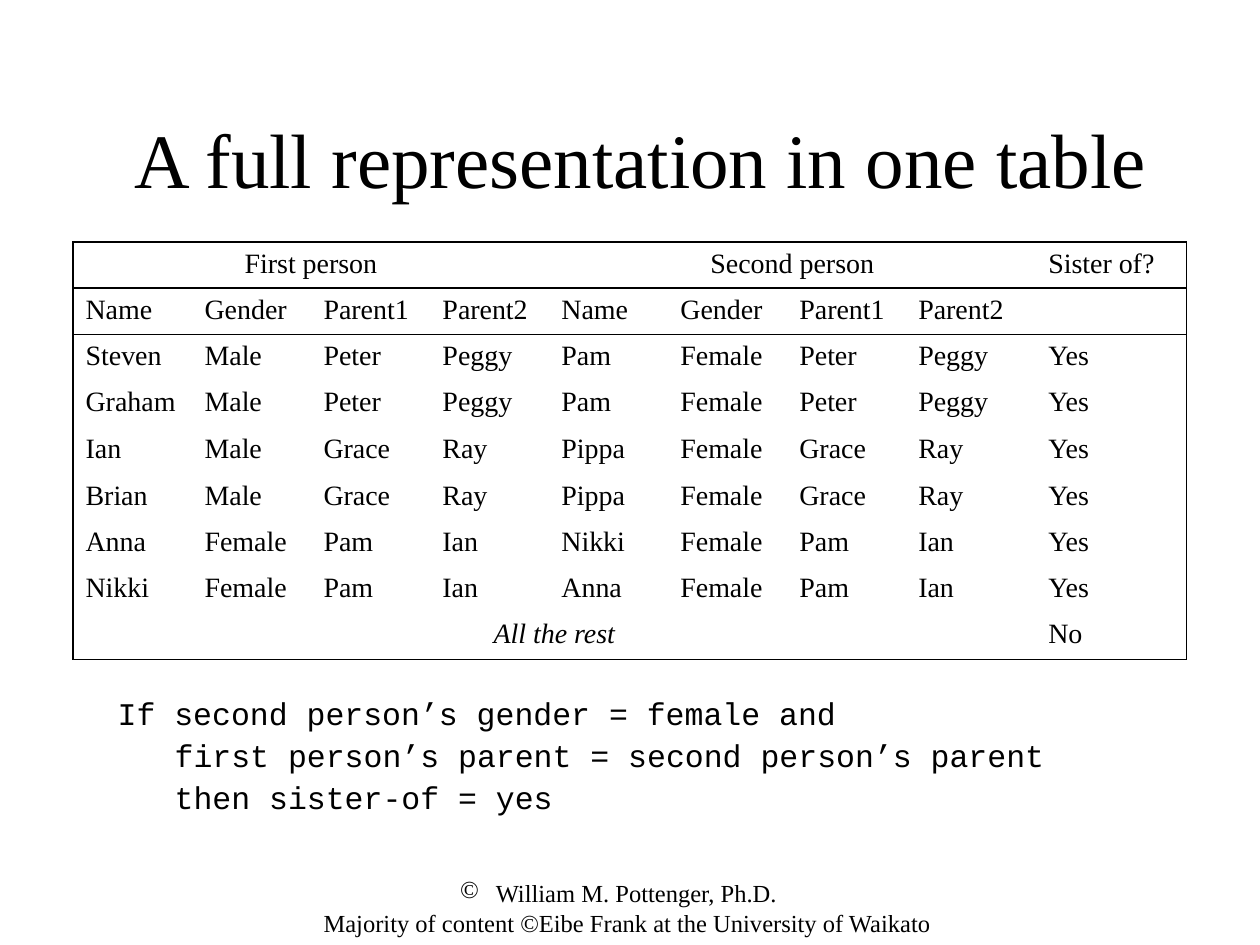
from lxml import etree
from pptx import Presentation
from pptx import util as u
from pptx.dml.color import RGBColor
from pptx.enum import text as t
from pptx.oxml import ns

PX = 914400 / 126
BLACK = RGBColor(0, 0, 0)
SERIF = "Times New Roman"
MONO = "Courier New"
CENTER = t.PP_ALIGN.CENTER

COLUMNS = [119] * 7 + [130, 151]
TABLE_HEIGHT = 416
PERSON = ["Name", "Gender", "Parent1", "Parent2"]
PEOPLE = {
    "Steven": ["Male", "Peter", "Peggy"],
    "Graham": ["Male", "Peter", "Peggy"],
    "Ian": ["Male", "Grace", "Ray"],
    "Brian": ["Male", "Grace", "Ray"],
    "Anna": ["Female", "Pam", "Ian"],
    "Nikki": ["Female", "Pam", "Ian"],
    "Pam": ["Female", "Peter", "Peggy"],
    "Pippa": ["Female", "Grace", "Ray"],
}
SISTERS = [("Steven", "Pam"), ("Graham", "Pam"), ("Ian", "Pippa"),
           ("Brian", "Pippa"), ("Anna", "Nikki"), ("Nikki", "Anna")]
RULE = [("If second person’s gender = female and", 0),
        ("first person’s parent = second person’s parent", 57),
        ("then sister-of = yes", 57)]


def px(value):
    return u.Emu(round(value * PX))


def write(frame, text, size, font=SERIF, align=None, italic=False,
          first=True, before=0, margin=0, indent=0, bullet=None):
    paragraph = frame.paragraphs[0] if first else frame.add_paragraph()
    paragraph.alignment = align
    if before:
        paragraph.space_before = u.Pt(before)
    properties = paragraph._p.get_or_add_pPr()
    if margin:
        properties.set("marL", str(px(margin)))
    if indent:
        properties.set("indent", str(px(indent)))
    if bullet:
        etree.SubElement(properties, ns.qn("a:buChar"), char=bullet)
    if not text:
        etree.SubElement(paragraph._p, ns.qn("a:endParaRPr"), sz=str(size * 100))
        return
    run = paragraph.add_run()
    run.text = text
    run.font.name = font
    run.font.size = u.Pt(size)
    run.font.italic = italic
    run.font.color.rgb = BLACK


def add_frame(slide, left, top, width, height, anchor=t.MSO_ANCHOR.TOP):
    frame = slide.shapes.add_textbox(*map(px, (left, top, width, height))).text_frame
    frame.word_wrap = True
    frame.vertical_anchor = anchor
    return frame


def add_grid(slide, left, top, widths, heights):
    table = slide.shapes.add_table(
        len(heights), len(widths), px(left), px(top),
        px(sum(widths)), px(sum(heights))).table
    table.first_row = table.horz_banding = False
    for column, width in zip(table.columns, widths):
        column.width = px(width)
    for row, height in zip(table.rows, heights):
        row.height = px(height)
    return table


def style_cell(cell, edges=""):
    properties = cell._tc.get_or_add_tcPr()
    for edge in "LRTB":
        line = etree.SubElement(properties, ns.qn(f"a:ln{edge}"), w=str(u.Pt(1)))
        if edge in edges:
            fill = etree.SubElement(line, ns.qn("a:solidFill"))
            etree.SubElement(fill, ns.qn("a:srgbClr"), val=str(BLACK))
        else:
            etree.SubElement(line, ns.qn("a:noFill"))
    cell.fill.background()


def cell_edges(row, column, last_row, last_column):
    rules = {"L": column == 0, "R": column == last_column,
             "T": row <= 2, "B": row in (0, 1, last_row)}
    return "".join(edge for edge, drawn in rules.items() if drawn)


def add_footer(slide):
    frame = add_frame(slide, 284, 872, 683, 42)
    write(frame, "William M. Pottenger, Ph.D.", 14, align=CENTER,
          margin=22, indent=-36, bullet="©")
    write(frame, "Majority of content ©Eibe Frank at the University of Waikato",
          14, align=CENTER, first=False, margin=4)


def add_title(slide):
    frame = add_frame(slide, 53, 84, 1176, 147, anchor=t.MSO_ANCHOR.MIDDLE)
    write(frame, "A full representation in one table", 44, align=CENTER)


def add_rule(slide):
    cell = add_grid(slide, 105, 693, [1050], [141]).cell(0, 0)
    style_cell(cell)
    for number, (line, margin) in enumerate(RULE):
        write(cell.text_frame, line, 18, font=MONO, first=number == 0,
              before=3.6 if number else 0, margin=margin)


def add_people(slide):
    rows = [["First person", *[""] * 3, "Second person", *[""] * 3, "Sister of?"],
            PERSON * 2 + [""]]
    rows += [[one, *PEOPLE[one], two, *PEOPLE[two], "Yes"] for one, two in SISTERS]
    rows.append(["All the rest", *[""] * 7, "No"])
    count = len(rows)
    heights = [TABLE_HEIGHT * (i + 1) // count - TABLE_HEIGHT * i // count
               for i in range(count)]
    table = add_grid(slide, 73, 242, COLUMNS, heights)
    last_row, last_column = count - 1, len(COLUMNS) - 1
    for row, start, end in [(0, 0, 3), (0, 4, 7), (last_row, 0, 7)]:
        table.cell(row, start).merge(table.cell(row, end))
    for row, values in enumerate(rows):
        for column, value in enumerate(values):
            cell = table.cell(row, column)
            style_cell(cell, cell_edges(row, column, last_row, last_column))
            write(cell.text_frame, value, 16,
                  align=CENTER if cell.is_merge_origin else None,
                  italic=cell.is_merge_origin and row == last_row)


def main():
    presentation = Presentation()
    presentation.slide_width = px(1260)
    presentation.slide_height = px(945)
    slide = presentation.slides.add_slide(presentation.slide_layouts[6])
    add_footer(slide)
    add_title(slide)
    add_rule(slide)
    add_people(slide)
    presentation.save("out.pptx")


if __name__ == "__main__":
    main()
